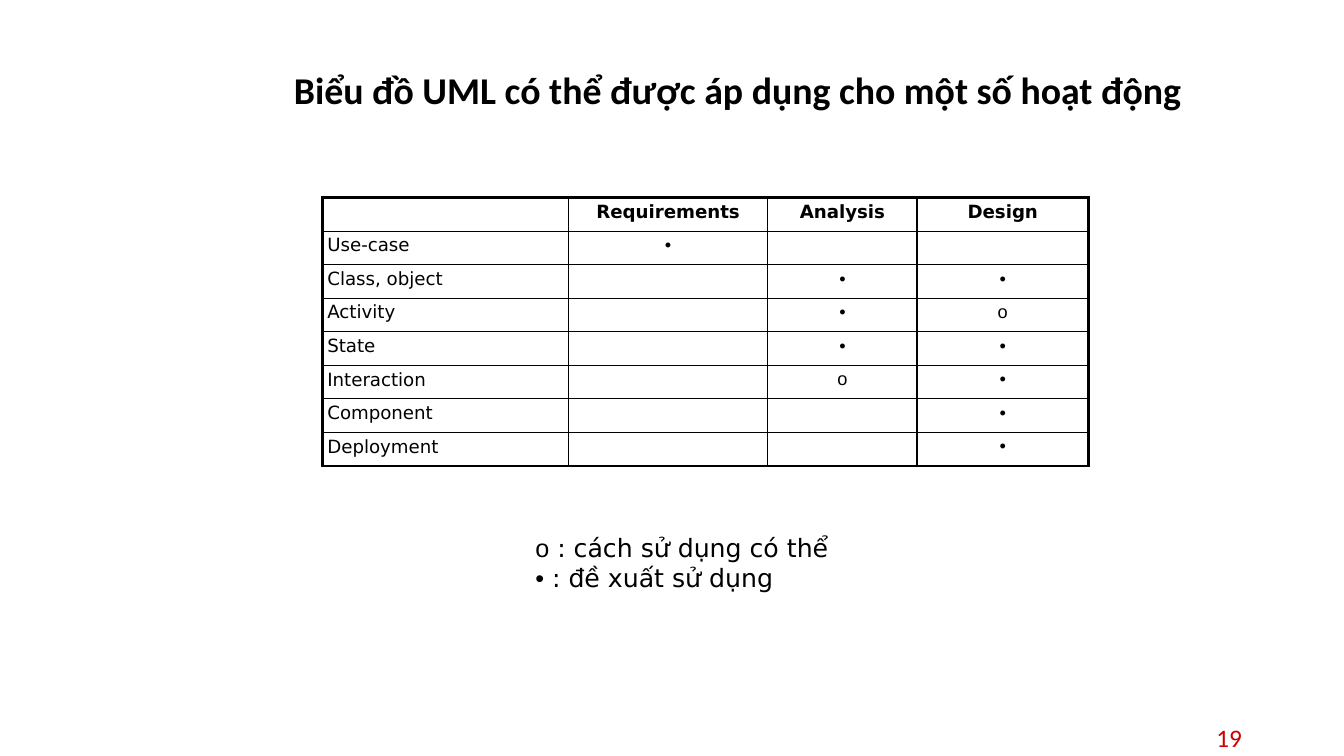
from lxml.etree import SubElement
from pptx import Presentation
from pptx.dml.color import RGBColor
from pptx.enum.text import MSO_ANCHOR as Anchor, MSO_AUTO_SIZE as AutoSize, PP_ALIGN as Align
from pptx.oxml.ns import qn
from pptx.util import Cm, Pt

BLACK = RGBColor(0x00, 0x00, 0x00)
RED = RGBColor(0xCC, 0x00, 0x00)
TEXT_FACE = "DejaVu Sans"
MARK_FACE = "Arial"
HEADING_FACE = "Calibri"

RECOMMENDED = "•"
POSSIBLE = "ο"
COLUMN_WIDTHS = [Cm(6.19), Cm(5.03), Cm(3.76), Cm(4.32)]
ROW_HEIGHT = Cm(0.845)
USAGE = [
    ["", "Requirements", "Analysis", "Design"],
    ["Use-case", RECOMMENDED, "", ""],
    ["Class, object", "", RECOMMENDED, RECOMMENDED],
    ["Activity", "", RECOMMENDED, POSSIBLE],
    ["State", "", RECOMMENDED, RECOMMENDED],
    ["Interaction", "", POSSIBLE, RECOMMENDED],
    ["Component", "", "", RECOMMENDED],
    ["Deployment", "", "", RECOMMENDED],
]
LEGEND = [(POSSIBLE, " : cách sử dụng có thể"), (RECOMMENDED, " : đề xuất sử dụng")]


def set_font(font, face, size, color=BLACK, bold=False):
    font.name = face
    font.size = Pt(size)
    font.color.rgb = color
    font.bold = bold


def set_margins(holder, across, down):
    holder.margin_left = holder.margin_right = across
    holder.margin_top = holder.margin_bottom = down


def add_title(slide, wording):
    title = slide.shapes.title
    title.left, title.top, title.width, title.height = Cm(5.66), Cm(1.02), Cm(25.86), Cm(2.59)
    frame = title.text_frame
    frame.text = wording
    frame.auto_size = AutoSize.NONE
    frame.vertical_anchor = Anchor.MIDDLE
    heading = frame.paragraphs[0]
    heading.alignment = Align.CENTER
    heading.line_spacing = 0.9
    set_font(heading.font, HEADING_FACE, 27, bold=True)


def add_page_number(slide, number):
    frame = slide.shapes.add_textbox(Cm(23.93), Cm(18.14), Cm(7.62), Cm(0.91)).text_frame
    frame.word_wrap = True
    frame.vertical_anchor = Anchor.MIDDLE
    line = frame.paragraphs[0]
    line.text = number
    line.alignment = Align.RIGHT
    set_font(line.font, HEADING_FACE, 18, RED)


def add_border(cell, side, width):
    edge = SubElement(cell._tc.get_or_add_tcPr(), qn(f"a:ln{side}"), w=str(Pt(width)))
    color = SubElement(SubElement(edge, qn("a:solidFill")), qn("a:srgbClr"))
    color.set("val", str(BLACK))


def fill_cell(cell, wording, is_header, is_label):
    set_margins(cell, Cm(0.12), Cm(0.1))
    line = cell.text_frame.paragraphs[0]
    line.alignment = Align.LEFT if is_label else Align.CENTER
    face = TEXT_FACE if is_header or is_label else MARK_FACE
    set_font(line.font, face, 13, bold=is_header)
    if wording:
        line.text = wording
    else:
        SubElement(line._p, qn("a:endParaRPr"), sz="1300")


def add_usage_table(slide):
    rows, columns = len(USAGE), len(COLUMN_WIDTHS)
    table = slide.shapes.add_table(
        rows, columns, Cm(8.13), Cm(4.98), sum(COLUMN_WIDTHS), ROW_HEIGHT * rows
    ).table
    table.first_row = table.horz_banding = False
    for column, width in zip(table.columns, COLUMN_WIDTHS):
        column.width = width
    for r, wordings in enumerate(USAGE):
        table.rows[r].height = ROW_HEIGHT
        for c, wording in enumerate(wordings):
            cell = table.cell(r, c)
            outer = {"L": c == 0, "R": c == columns - 1, "T": r == 0, "B": r == rows - 1}
            for side, is_outer in outer.items():
                add_border(cell, side, 2.25 if is_outer else 1)
            cell.fill.background()
            fill_cell(cell, wording, r == 0, c == 0)


def add_legend(slide):
    frame = slide.shapes.add_textbox(Cm(13.39), Cm(13.31), Cm(8.08), Cm(1.75)).text_frame
    frame.word_wrap = False
    frame.auto_size = AutoSize.SHAPE_TO_FIT_TEXT
    set_margins(frame, Cm(0.1), Cm(0.1))
    for i, (mark, meaning) in enumerate(LEGEND):
        line = frame.add_paragraph() if i else frame.paragraphs[0]
        for wording, face in ((mark, MARK_FACE), (meaning, TEXT_FACE)):
            part = line.add_run()
            part.text = wording
            set_font(part.font, face, 18)


def main():
    deck = Presentation()
    deck.slide_width, deck.slide_height = Cm(33.87), Cm(19.05)
    slide = deck.slides.add_slide(deck.slide_layouts[5])
    add_page_number(slide, "19")
    add_title(slide, "Biểu đồ UML có thể được áp dụng cho một số hoạt động")
    add_usage_table(slide)
    add_legend(slide)
    deck.save("out.pptx")


if __name__ == "__main__":
    main()
